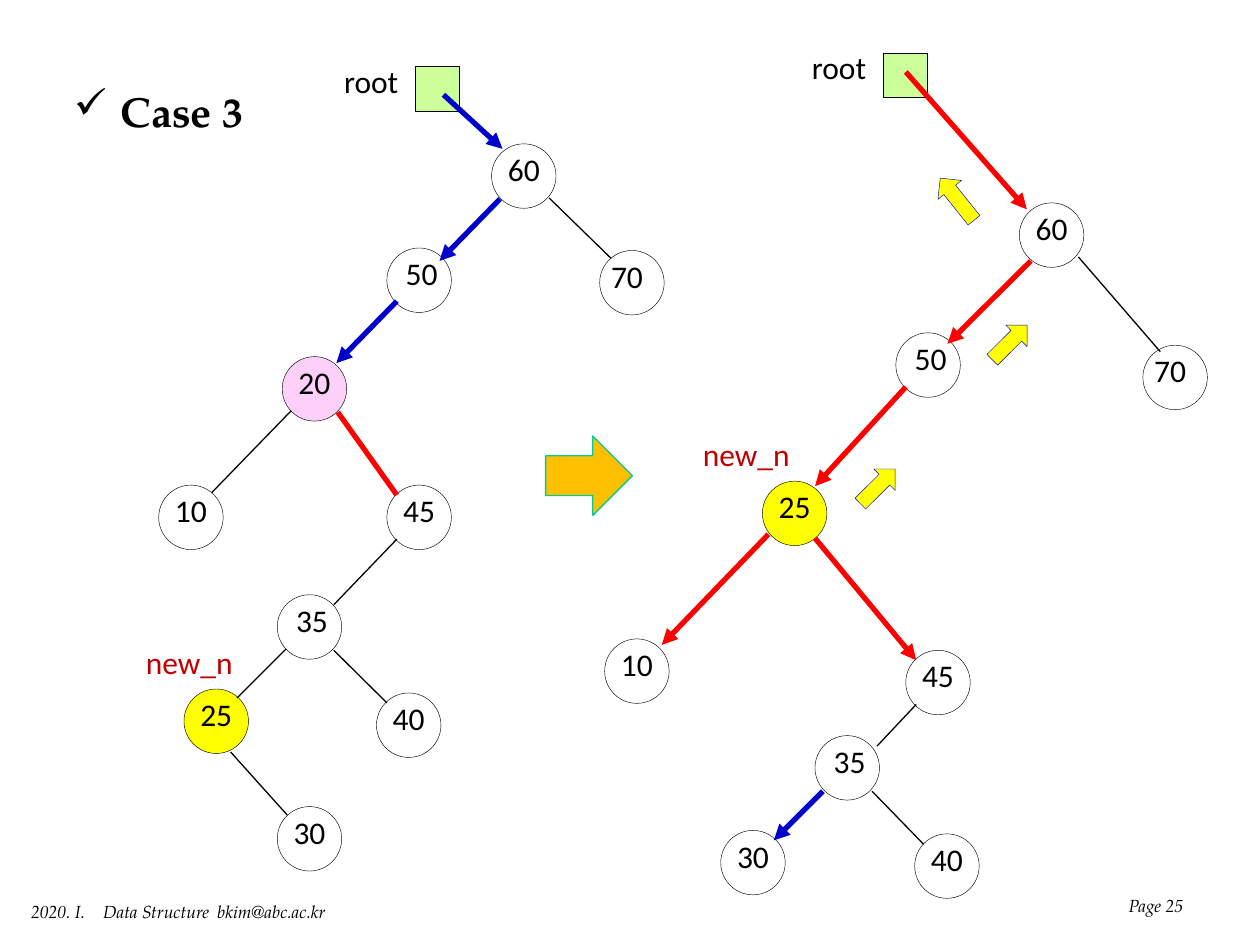
"""Build the Case 3 slide: a binary tree before and after node 25 moves up."""
from lxml import etree
from pptx import Presentation
from pptx import util as u
from pptx.dml.color import RGBColor
from pptx.enum import shapes, text
from pptx.oxml import ns

BLACK = RGBColor(0x00, 0x00, 0x00)
WHITE = RGBColor(0xFF, 0xFF, 0xFF)
PINK = RGBColor(0xFC, 0xD0, 0xF8)
YELLOW = RGBColor(0xFF, 0xFF, 0x00)
GREEN = RGBColor(0xCC, 0xFF, 0x99)
ORANGE = RGBColor(0xFF, 0xC0, 0x00)
TEAL = RGBColor(0x00, 0xCC, 0x99)
RED = RGBColor(0xFF, 0x00, 0x00)
BLUE = RGBColor(0x00, 0x00, 0xCC)
CRIMSON = RGBColor(0xC0, 0x00, 0x00)
SERIF = "TeX Gyre Pagella"
KIND = shapes.MSO_SHAPE
ALIGN = text.PP_ALIGN

prs = Presentation()
prs.slide_width, prs.slide_height = u.Cm(25.4), u.Cm(19.05)
slide = prs.slides.add_slide(prs.slide_layouts[6])


def draw(kind, place, fill, line, width):
    shape = slide.shapes.add_shape(kind, *map(u.Cm, place))
    shape.shadow.inherit = False
    shape.fill.solid()
    shape.fill.fore_color.rgb = fill
    shape.line.color.rgb = line
    shape.line.width = u.Pt(width)
    return shape


def write(words, place, size=18, face="Calibri", color=BLACK, align=ALIGN.CENTER):
    frame = slide.shapes.add_textbox(*map(u.Cm, place)).text_frame
    frame.word_wrap = True
    par = frame.paragraphs[0]
    par.text = words
    par.alignment = align
    par.font.size = u.Pt(size)
    par.font.name = face
    par.font.color.rgb = color
    return par


# value, left, top
nodes = [
    (20, 5.69, 7.19), (45, 7.8, 9.78), (60, 9.91, 2.9), (70, 12.09, 5.05),
    (50, 7.8, 5), (35, 5.59, 11.99), (10, 3.2, 9.78), (25, 3.71, 13.89),
    (30, 5.59, 16.26), (40, 7.59, 13.97),
    (25, 15.37, 9.7), (45, 18.26, 13.11), (60, 20.55, 4.09), (70, 23.04, 6.96),
    (50, 18.06, 6.71), (35, 16.43, 14.83), (10, 12.19, 12.88),
    (30, 14.53, 16.74), (40, 18.44, 16.81),
]
fills = {20: PINK, 25: YELLOW}
shift = {70: -0.1, 35: 0.05, 50: 0.05}
for value, left, top in nodes:
    draw(KIND.OVAL, (left, top, 1.3, 1.3), fills.get(value, WHITE), BLACK, 0.25)
    write(str(value), (left - 0.1 + shift.get(value, 0), top, 1.5, 1.02))

for left, top in [(8.38, 1.35), (17.81, 1.07)]:
    draw(KIND.RECTANGLE, (left, top, 0.89, 0.89), GREEN, BLACK, 0.5)
    write("root", (left - 1.9, top - 0.22, 2.01, 1.02))

for left, top in [(2.69, 12.83), (13.92, 8.64)]:
    write("new_n", (left, top, 2.4, 1.02), color=CRIMSON, align=ALIGN.LEFT)

links = [
    (BLACK, 0.75, False, [
        (5.77, 13.08, 4.78, 14.07), (8, 10.87, 6.73, 12.19),
        (11.07, 3.99, 12.32, 5.21), (6.73, 13.11, 7.8, 14.17),
        (4.65, 15.16, 5.79, 16.43), (5.87, 8.28, 4.27, 9.93),
        (18.47, 14.2, 17.68, 15.04), (17.58, 15.95, 18.62, 17.02),
        (21.74, 5.18, 23.39, 7.09)]),
    (RED, 3, False, [(6.81, 8.31, 8, 9.98)]),
    (BLUE, 3, True, [
        (10.08, 4.01, 8.86, 5.26), (8, 6.07, 6.78, 7.32),
        (8.94, 1.91, 10.13, 3), (16.59, 15.95, 15.6, 16.94)]),
    (RED, 3, True, [
        (16.43, 10.85, 18.47, 13.31), (20.78, 5.26, 19.1, 6.93),
        (18.26, 7.8, 16.43, 9.8), (15.49, 10.77, 13.34, 13),
        (18.26, 1.45, 20.7, 4.22)]),
]
for color, width, arrow, ends in links:
    for end in ends:
        link = slide.shapes.add_connector(shapes.MSO_CONNECTOR.STRAIGHT, *map(u.Cm, end))
        link.line.color.rgb = color
        link.line.width = u.Pt(width)
        if arrow:
            etree.SubElement(link.line._get_or_add_ln(), ns.qn("a:tailEnd"), type="triangle")
        etree.SubElement(link._element.spPr, ns.qn("a:effectLst"))

for left, top, width, turn in [
    (17.2, 9.5, 0.99, 315.2), (19.86, 6.6, 0.99, 315.2), (18.75, 3.71, 1.09, 231.3),
]:
    mark = draw(KIND.RIGHT_ARROW, (left, top, width, 0.61), YELLOW, BLUE, 0.25)
    mark.rotation = turn
draw(KIND.RIGHT_ARROW, (11, 8.79, 1.75, 1.6), ORANGE, TEAL, 0.75)

title = write("Case 3", (1.24, 1.6, 4.2, 1.27), 24, SERIF, align=ALIGN.LEFT)
title.font.bold = True
props = title._p.get_or_add_pPr()
props.set("marL", str(u.Cm(0.95)))
props.set("indent", str(-u.Cm(0.95)))
props.insert(0, etree.Element(ns.qn("a:buChar"), char="✓"))

foot = write("2020. I.\tData Structure\tbkim@abc.ac.kr", (0.38, 18.03, 7, 0.69), 10, SERIF,
             align=ALIGN.LEFT)
foot.font.italic = True
stops = etree.Element(ns.qn("a:tabLst"))
for stop in (1.45, 3.75):
    etree.SubElement(stops, ns.qn("a:tab"), pos=str(u.Cm(stop)), algn="l")
foot._p.get_or_add_pPr().insert(0, stops)

page = write("Page 25", (19.48, 17.92, 4.62, 0.7), 10, SERIF, align=ALIGN.RIGHT)
page.font.italic = True

prs.save("out.pptx")
